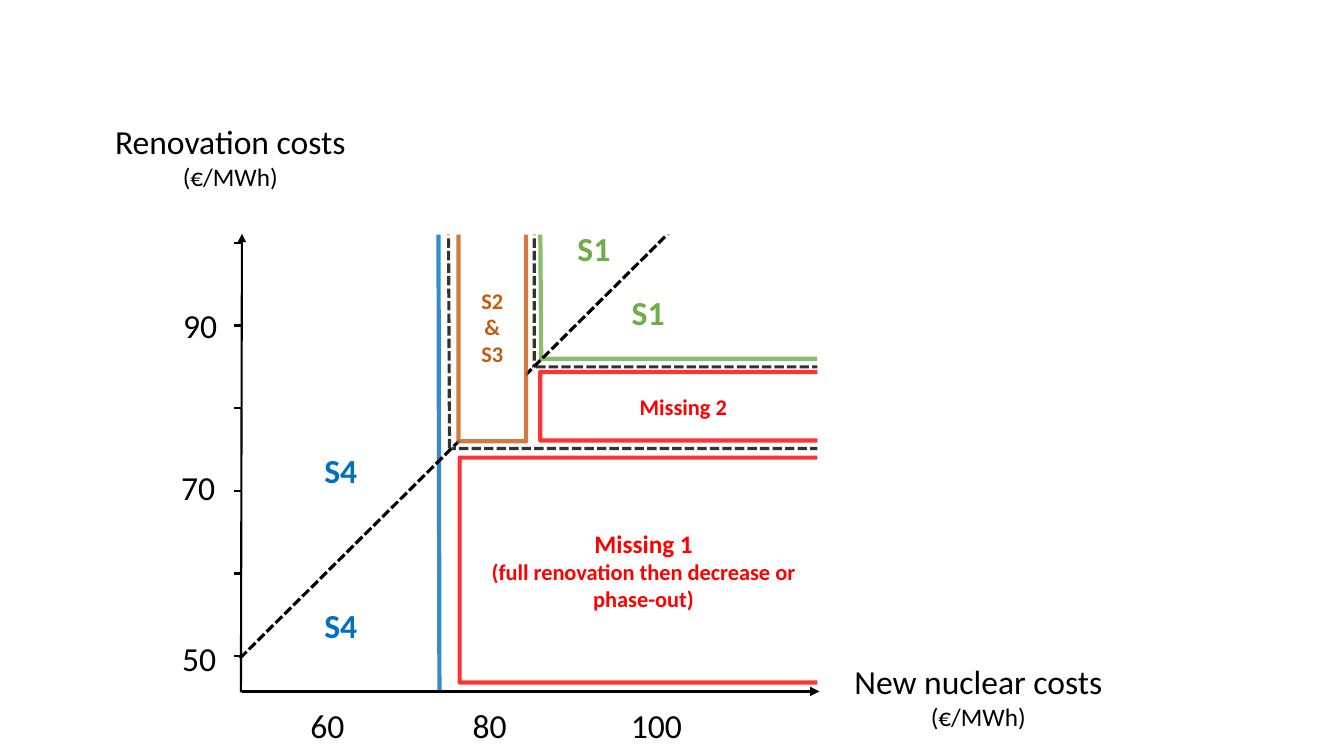
import pptx
import pptx.util
import pptx.dml.color
import pptx.enum.dml
import pptx.enum.shapes
import pptx.enum.text
import pptx.oxml
import pptx.oxml.ns

Pt = pptx.util.Pt
Align = pptx.enum.text.PP_ALIGN

THEME = {
    "font": "Calibri",
    "black": "000000", "white": "FFFFFF", "green": "70AD47",
    "blue": "0070C0", "red": "FF0000", "orange": "C55A11",
    "large": 24, "medium": 18, "small": 16,
    "border": 3, "dash": 2.25, "axis": 1.5, "opacity": 80,
}

# Content: lines of text are (wording, size name); boxes are left, top, width, height
AXIS_TITLES = [
    ((602, 468.7, 193.7, 58.3), False, [("New nuclear costs", "large"), ("(€/MWh)", "medium")]),
    ((72.7, 82.8, 183.6, 58.3), True, [("Renovation costs", "large"), ("(€/MWh)", "medium")]),
]
RENOVATION_LABELS = [("90", 123.8, 214.6), ("70", 122.4, 329.8), ("50", 123.1, 452.2)]
NUCLEAR_LABELS = [("60", 214.6, 38.9), ("80", 330.5, 38.9), ("100", 443.5, 51.1)]
SCENARIO_LABELS = [
    ("S1", "green", 444.2, 205.2), ("S1", "green", 405.4, 159.1),
    ("S4", "blue", 224.6, 318.2), ("S4", "blue", 224.6, 428.4),
]
ZONES = [
    ((385.9, 265.7, 204.5, 49), "red", True, [("Missing 2", "small")]),
    ((328.3, 326.9, 262.8, 160.6), "red", False,
     [("Missing 1", "medium"), ("(full renovation then decrease or phase-out)", "small")]),
    ((327.6, 151.9, 48.2, 163.4), "orange", True,
     [("S2", "small"), ("&", "small"), ("S3", "small")]),
]

# Lines: start, end
AXES = [
    ((172.8, 493.9), (585.4, 493.9), "dash"),
    ((172.1, 494.6), (172.8, 167), "axis"),
]
SOLID_BORDERS = [
    ((385.9, 159.1), (386.6, 256.3), "green"),
    ((385.9, 256.3), (583.9, 256.3), "green"),
    ((313.2, 161.3), (313.9, 493.2), "blue"),
]
DASHED_BORDERS = [
    ((320.4, 161.3), (321.1, 320.4)),
    ((585.4, 320.4), (322.6, 320.4)),
    ((586.8, 262.1), (380.2, 262.1)),
    ((381.6, 161.3), (381.6, 262.1)),
]
DIAGONAL = ((171.4, 470.2), (509, 135.4))
TICK_COUNT, TICK_TOP, TICK_STEP = 6, 173.5, 59.04
TICK_LEFT, TICK_RIGHT = 167, 172.8
PLOT_EDGES = [(298.1, 109.4, 235.4, 58.3), (583.9, 202.3, 16.6, 288.7)]
LABEL_HEIGHT, LABEL_WIDTH, NUCLEAR_TOP = 36, 38.9, 499.7

deck = pptx.Presentation()
deck.slide_width, deck.slide_height = Pt(960), Pt(540)
page = deck.slides.add_slide(deck.slide_layouts[6])


def colour(name):
    return pptx.dml.color.RGBColor.from_string(THEME[name])


def style_line(item, name, width, opacity=100):
    item.line.color.rgb = colour(name)
    item.line.width = Pt(THEME[width])
    if opacity < 100:
        outline = item._element.spPr.find(pptx.oxml.ns.qn("a:ln"))
        shade = outline.find(".//" + pptx.oxml.ns.qn("a:srgbClr"))
        shade.append(pptx.oxml.parse_xml(
            f'<a:alpha {pptx.oxml.ns.nsdecls("a")} val="{opacity * 1000}"/>'))


def add_line(start, end, name, width, opacity=100, dashed=False, arrow=False):
    line = page.shapes.add_connector(
        pptx.enum.shapes.MSO_CONNECTOR.STRAIGHT, *map(Pt, start + end))
    style_line(line, name, width, opacity)
    if dashed:
        line.line.dash_style = pptx.enum.dml.MSO_LINE.SQUARE_DOT
    properties = line._element.spPr
    declaration = pptx.oxml.ns.nsdecls("a")
    if arrow:
        properties.find(pptx.oxml.ns.qn("a:ln")).append(
            pptx.oxml.parse_xml(f'<a:tailEnd {declaration} type="triangle"/>'))
    properties.append(pptx.oxml.parse_xml(f"<a:effectLst {declaration}/>"))


def write(frame, lines, name, bold=False, align=Align.CENTER):
    for index, (wording, size) in enumerate(lines):
        para = frame.add_paragraph() if index else frame.paragraphs[0]
        para.text = wording
        para.alignment = align
        para.font.name = THEME["font"]
        para.font.size = Pt(THEME[size])
        para.font.bold = bold
        para.font.color.rgb = colour(name)


def add_text(place, lines, name="black", bold=False, align=Align.LEFT, wrap=False):
    frame = page.shapes.add_textbox(*map(Pt, place)).text_frame
    frame.word_wrap = wrap
    frame.auto_size = pptx.enum.text.MSO_AUTO_SIZE.SHAPE_TO_FIT_TEXT
    write(frame, lines, name, bold, align)


def add_box(place, filled=True):
    box = page.shapes.add_shape(pptx.enum.shapes.MSO_SHAPE.RECTANGLE, *map(Pt, place))
    box.shadow.inherit = False
    if filled:
        box.fill.solid()
        box.fill.fore_color.rgb = colour("white")
    else:
        box.fill.background()
    return box


# Axes and ticks
for start, end, width in AXES:
    add_line(start, end, "black", width, arrow=True)
for index in range(TICK_COUNT):
    level = TICK_TOP + index * TICK_STEP
    add_line((TICK_RIGHT, level), (TICK_LEFT, level), "black", "axis")

# Scenario borders and the equal-cost diagonal
for start, end, name in SOLID_BORDERS:
    add_line(start, end, name, "border", THEME["opacity"])
for start, end in DASHED_BORDERS:
    add_line(start, end, "black", "dash", THEME["opacity"], dashed=True)
add_line(*DIAGONAL, "black", "dash", dashed=True)

# Outlined zones
for place, name, filled, lines in ZONES:
    zone = add_box(place, filled)
    style_line(zone, name, "border", THEME["opacity"])
    zone.text_frame.word_wrap = True
    zone.text_frame.vertical_anchor = pptx.enum.text.MSO_ANCHOR.MIDDLE
    write(zone.text_frame, lines, name, bold=True)

# White edges that leave the zones open at the top and right
for place in PLOT_EDGES:
    add_box(place).line.fill.background()

# Labels
for place, wrap, lines in AXIS_TITLES:
    add_text(place, lines, align=Align.CENTER, wrap=wrap)
for wording, left, top in RENOVATION_LABELS:
    add_text((left, top, LABEL_WIDTH, LABEL_HEIGHT), [(wording, "large")])
for wording, left, width in NUCLEAR_LABELS:
    add_text((left, NUCLEAR_TOP, width, LABEL_HEIGHT), [(wording, "large")])
for wording, name, left, top in SCENARIO_LABELS:
    add_text((left, top, LABEL_WIDTH, LABEL_HEIGHT), [(wording, "large")], name, bold=True)

deck.save("out.pptx")
